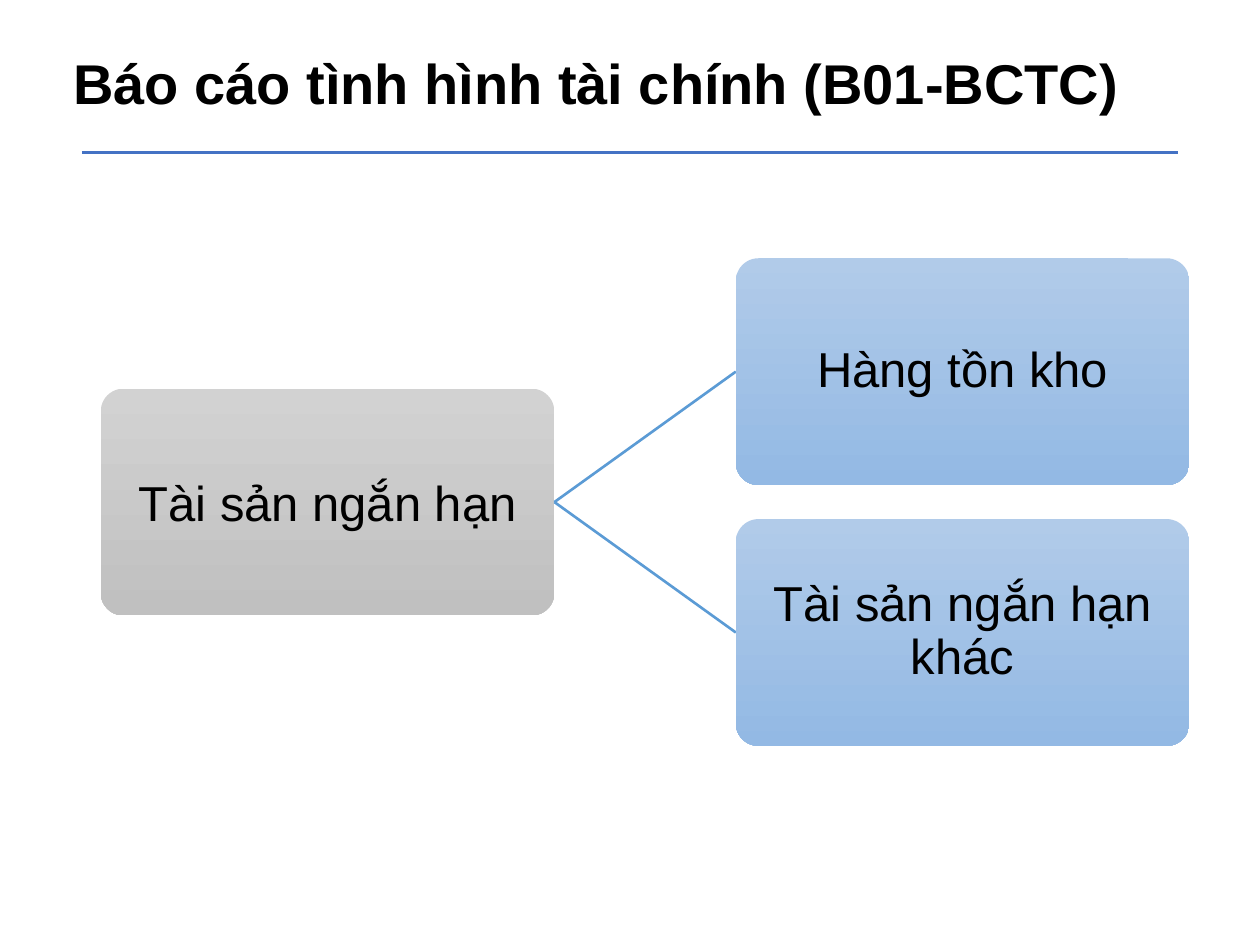
from dataclasses import dataclass

from lxml.etree import SubElement
from pptx import Presentation
from pptx.dml.color import RGBColor
from pptx.enum.shapes import MSO_CONNECTOR, MSO_SHAPE
from pptx.enum.text import MSO_ANCHOR, MSO_AUTO_SIZE, PP_ALIGN
from pptx.oxml.ns import qn
from pptx.util import Pt


@dataclass(frozen=True)
class Theme:
    font: str = "Arial"
    title_size: float = 32
    box_size: float = 28
    text: str = "000000"
    rule: str = "4472C4"
    branch: str = "5B9BD5"
    parent: tuple = ("D2D2D2", "C0C0C0")
    child: tuple = ("B1CBE9", "93B9E4")
    line_width: float = 1.5


class SlideBuilder:
    def __init__(self, slide, theme):
        self.slide = slide
        self.theme = theme

    def add_run(self, paragraph, wording, size, bold=False):
        run = paragraph.add_run()
        run.text = wording
        run.font.name = self.theme.font
        run.font.size = Pt(size)
        run.font.bold = bold
        run.font.color.rgb = RGBColor.from_string(self.theme.text)

    def title(self, wording, left, top, width, height):
        heading = self.slide.shapes.title
        heading.left, heading.top = Pt(left), Pt(top)
        heading.width, heading.height = Pt(width), Pt(height)
        frame = heading.text_frame
        frame.word_wrap = True
        frame.auto_size = MSO_AUTO_SIZE.NONE
        frame.vertical_anchor = MSO_ANCHOR.MIDDLE
        paragraph = frame.paragraphs[0]
        paragraph.alignment = PP_ALIGN.JUSTIFY
        self.add_run(paragraph, wording, self.theme.title_size, bold=True)

    def line(self, start, end, color):
        connector = self.slide.shapes.add_connector(
            MSO_CONNECTOR.STRAIGHT, *map(Pt, (*start, *end)))
        connector.line.color.rgb = RGBColor.from_string(color)
        connector.line.width = Pt(self.theme.line_width)
        SubElement(connector._element.spPr, qn("a:effectLst"))

    def box(self, wording, left, top, width, height, colors, spacing=1.0):
        node = self.slide.shapes.add_shape(
            MSO_SHAPE.ROUNDED_RECTANGLE, *map(Pt, (left, top, width, height)))
        node.adjustments[0] = 0.1
        node.shadow.inherit = False
        node.line.fill.background()
        node.fill.gradient()
        node.fill.gradient_angle = 270
        for stop, color in zip(node.fill.gradient_stops, colors):
            stop.color.rgb = RGBColor.from_string(color)
        stops = node.fill.gradient_stops
        stops[0].position, stops[1].position = 0, 1
        frame = node.text_frame
        frame.word_wrap = True
        frame.vertical_anchor = MSO_ANCHOR.MIDDLE
        frame.margin_left = frame.margin_right = Pt(5)
        frame.margin_top = frame.margin_bottom = Pt(5)
        paragraph = frame.paragraphs[0]
        paragraph.alignment = PP_ALIGN.CENTER
        paragraph.line_spacing = spacing
        self.add_run(paragraph, wording, self.theme.box_size)


def main():
    presentation = Presentation()
    presentation.slide_width, presentation.slide_height = Pt(720), Pt(540)
    slide = presentation.slides.add_slide(presentation.slide_layouts[5])
    theme = Theme()
    builder = SlideBuilder(slide, theme)

    builder.line((46.8, 87), (673.2, 87), theme.rule)
    builder.title("Báo cáo tình hình tài chính (B01-BCTC)", 34.6, 23.8, 622.8, 46)

    children = ["Hàng tồn kho", "Tài sản ngắn hạn khác"]
    width, height = 259.2, 129.6
    parent_left, first_top = 57.6, 147.6
    child_left = parent_left + 1.4 * width
    pitch = 1.15 * height
    parent_top = first_top + pitch * (len(children) - 1) / 2
    fork = (parent_left + width, parent_top + height / 2)

    builder.box("Tài sản ngắn hạn", parent_left, parent_top, width, height, theme.parent)
    for index, child in enumerate(children):
        top = first_top + index * pitch
        builder.line(fork, (child_left, top + height / 2), theme.branch)
        builder.box(child, child_left, top, width, height, theme.child, spacing=0.9)

    presentation.save("out.pptx")


if __name__ == "__main__":
    main()
